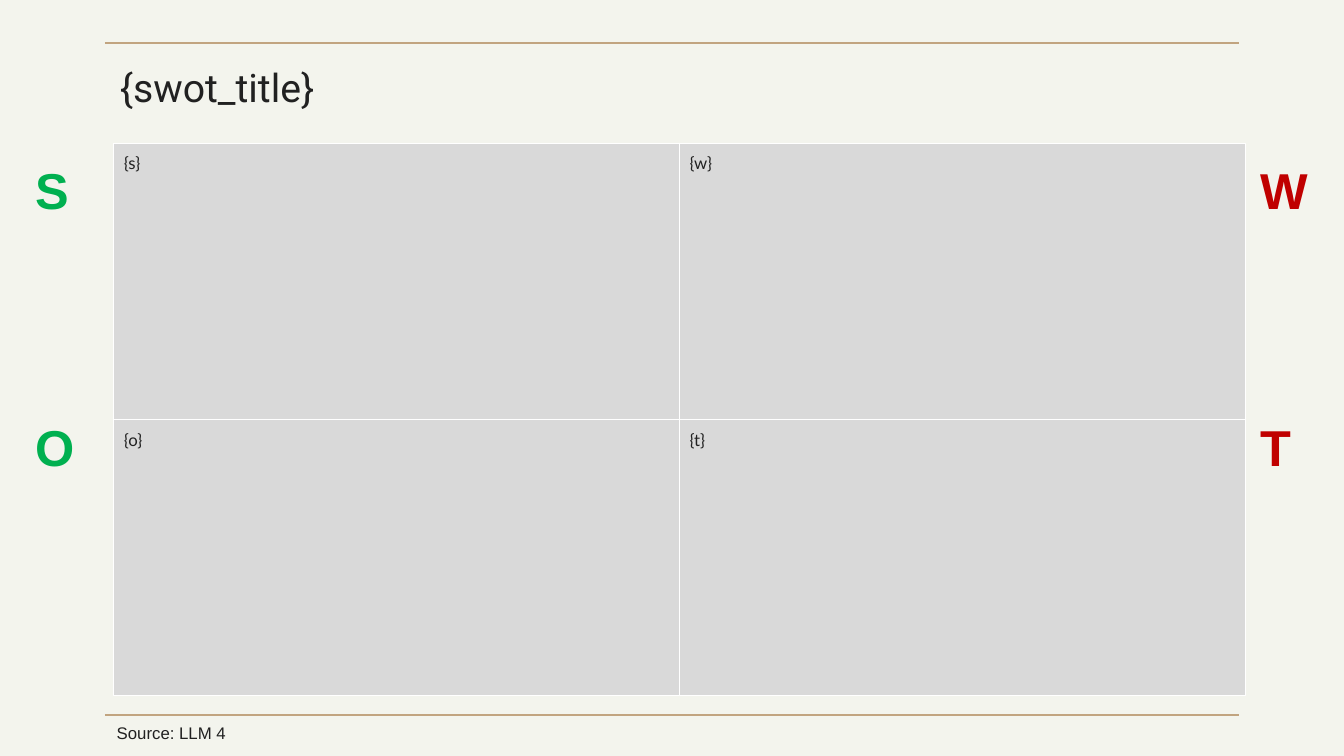
from dataclasses import dataclass

from lxml import etree
from pptx import Presentation
from pptx.dml.color import RGBColor
from pptx.enum.shapes import MSO_CONNECTOR, MSO_SHAPE
from pptx.enum.text import MSO_ANCHOR, PP_ALIGN
from pptx.oxml.ns import qn
from pptx.slide import Slide
from pptx.text.text import TextFrame
from pptx.util import Inches, Pt

LINE = MSO_CONNECTOR.STRAIGHT
RECT = MSO_SHAPE.RECTANGLE
TOP, MIDDLE = MSO_ANCHOR.TOP, MSO_ANCHOR.MIDDLE
LEFT = PP_ALIGN.LEFT


@dataclass(frozen=True)
class Style:
    font: str
    size: int
    color: str
    bold: bool = False


@dataclass(frozen=True)
class Theme:
    back: str = "F3F4ED"
    rule: str = "C1A480"
    panel: str = "D9D9D9"
    edge: str = "FFFFFF"
    title: Style = Style("Roboto", 28, "212121")
    body: Style = Style("Lato", 12, "212121")
    source: Style = Style("Arial", 12, "212121")
    good: Style = Style("Arial", 36, "00B050", True)
    bad: Style = Style("Arial", 36, "C00000", True)


@dataclass(frozen=True)
class Label:
    text: str
    box: tuple[float, float, float, float]
    style: Style
    pad: tuple[float, float] = (0.1, 0.05)
    anchor: MSO_ANCHOR = TOP
    wrap: bool = True


@dataclass(frozen=True)
class Panel:
    text: str
    row: int
    col: int


THEME = Theme()
PANEL_X, PANEL_Y, PANEL_W, PANEL_H = 1.13, 1.42, 5.61, 2.74
RULES = (0.43, 7.09)
PANELS = (
    Panel("{s}", 0, 0),
    Panel("{o}", 1, 0),
    Panel("{w}", 0, 1),
    Panel("{t}", 1, 1),
)
LABELS = (
    Label("Source: LLM 4", (1.06, 7.12, 5.47, 0.3), THEME.source),
    Label("{swot_title}", (1.06, 0.51, 11.1, 0.7), THEME.title, (0.13, 0.13), MIDDLE),
    Label("S", (0.25, 1.53, 0.54, 0.71), THEME.good, wrap=False),
    Label("O", (0.25, 4.08, 0.59, 0.71), THEME.good, wrap=False),
    Label("W", (12.4, 1.53, 0.68, 0.71), THEME.bad, wrap=False),
    Label("T", (12.4, 4.08, 0.51, 0.71), THEME.bad, wrap=False),
)


def rgb(code: str) -> RGBColor:
    return RGBColor.from_string(code)


def write(frame: TextFrame, text: str, style: Style, pad: tuple[float, float]) -> None:
    frame.margin_left = frame.margin_right = Inches(pad[0])
    frame.margin_top = frame.margin_bottom = Inches(pad[1])
    line = frame.paragraphs[0]
    line.text = text
    line.alignment = LEFT
    line.font.name = style.font
    line.font.size = Pt(style.size)
    line.font.bold = style.bold
    line.font.color.rgb = rgb(style.color)


def add_rule(slide: Slide, y: float) -> None:
    rule = slide.shapes.add_connector(
        LINE, Inches(1.04), Inches(y), Inches(12.29), Inches(y)
    )
    rule.line.color.rgb = rgb(THEME.rule)
    rule.line.width = Pt(1.5)
    etree.SubElement(rule._element.spPr, qn("a:effectLst"))


def add_label(slide: Slide, label: Label) -> None:
    frame = slide.shapes.add_textbox(*map(Inches, label.box)).text_frame
    frame.word_wrap = label.wrap
    frame.vertical_anchor = label.anchor
    write(frame, label.text, label.style, label.pad)


def add_panel(slide: Slide, panel: Panel) -> None:
    x = PANEL_X + panel.col * PANEL_W
    y = PANEL_Y + panel.row * PANEL_H
    shape = slide.shapes.add_shape(
        RECT, Inches(x), Inches(y), Inches(PANEL_W), Inches(PANEL_H)
    )
    shape.shadow.inherit = False
    shape.fill.solid()
    shape.fill.fore_color.rgb = rgb(THEME.panel)
    shape.line.color.rgb = rgb(THEME.edge)
    shape.line.width = Pt(0.75)
    shape.text_frame.word_wrap = True
    shape.text_frame.vertical_anchor = TOP
    write(shape.text_frame, panel.text, THEME.body, (0.1, 0.1))


def main() -> None:
    deck = Presentation()
    deck.slide_width, deck.slide_height = Inches(13.33), Inches(7.5)
    slide = deck.slides.add_slide(deck.slide_layouts[6])
    fill = slide.background.fill
    fill.solid()
    fill.fore_color.rgb = rgb(THEME.back)

    # Rules above and below
    for y in RULES:
        add_rule(slide, y)

    # Source, title and side letters
    for label in LABELS:
        add_label(slide, label)

    # Two by two grid
    for panel in PANELS:
        add_panel(slide, panel)

    deck.save("out.pptx")


if __name__ == "__main__":
    main()
